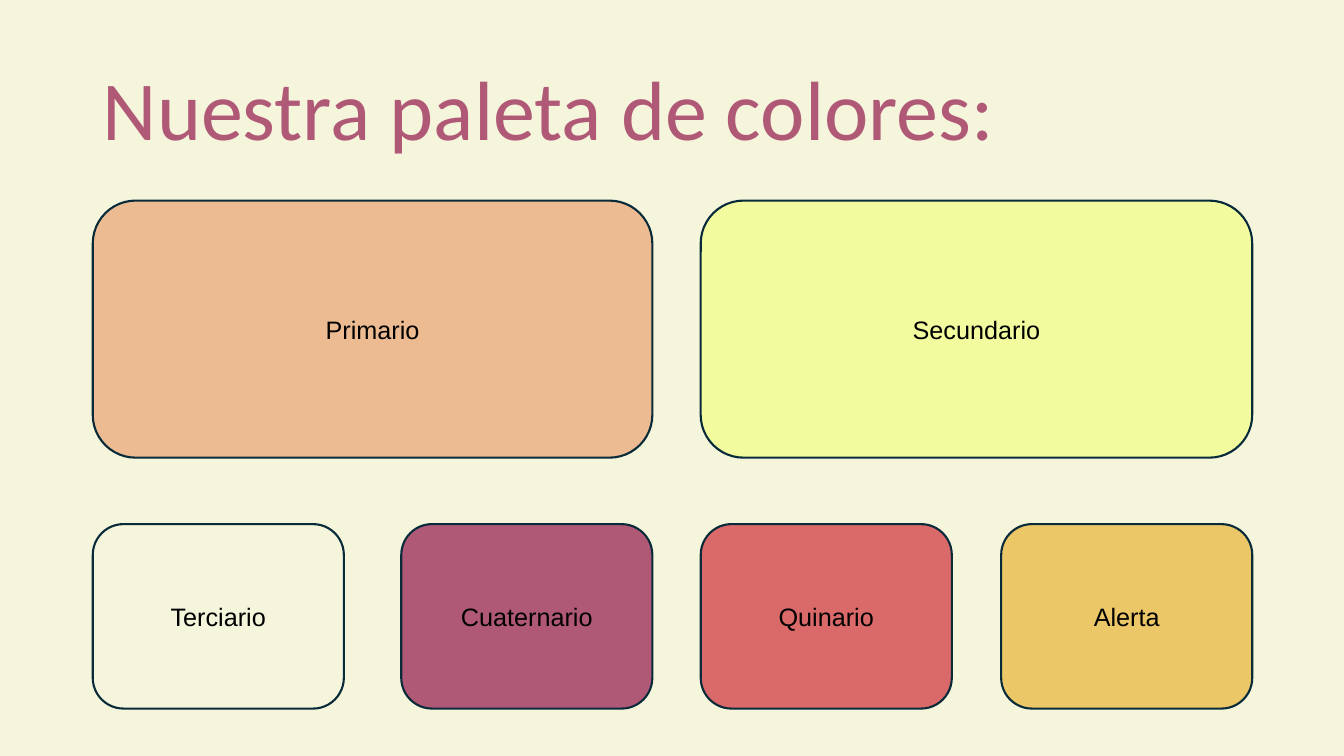
from dataclasses import dataclass

import pptx
import pptx.dml.color
import pptx.enum.shapes
import pptx.enum.text
import pptx.util


@dataclass(frozen=True)
class Theme:
    background: str = "F5F5DC"
    title: str = "B05977"
    outline: str = "092A39"
    label: str = "000000"
    title_font: str = "Calibri"
    label_font: str = "Arial"
    title_size: int = 60
    label_size: int = 18
    outline_width: float = 1.5


THEME = Theme()
WIDTH, HEIGHT = 13.33, 7.5

# Grid: the slide halves start at columns 0 and 2; rows are (top, height)
COLUMNS = (0.92, 3.98, 6.95, 9.93)
SWATCH_WIDTH = 2.49
TITLE_ROW, LARGE_ROW, SMALL_ROW = (0.4, 1.45), (1.99, 2.55), (5.2, 1.83)

# Name, fill, first column, last column, row
SWATCHES = (
    ("Primario", "EDBB91", 0, 1, LARGE_ROW),
    ("Secundario", "F2FC9F", 2, 3, LARGE_ROW),
    ("Terciario", "F5F5DC", 0, 0, SMALL_ROW),
    ("Cuaternario", "B05977", 1, 1, SMALL_ROW),
    ("Quinario", "DA6969", 2, 2, SMALL_ROW),
    ("Alerta", "EBC768", 3, 3, SMALL_ROW),
)


def rgb(value):
    return pptx.dml.color.RGBColor.from_string(value)


def cell(first, last, row):
    """Left, top, width and height of a span of columns in a row."""
    left = COLUMNS[first]
    width = COLUMNS[last] + SWATCH_WIDTH - left
    return [pptx.util.Inches(v) for v in (left, row[0], width, row[1])]


def write(s, text, font, size, color, align):
    tf = s.text_frame
    tf.word_wrap = True
    tf.vertical_anchor = pptx.enum.text.MSO_ANCHOR.MIDDLE
    p = tf.paragraphs[0]
    p.alignment = align
    r = p.add_run()
    r.text = text
    r.font.name = font
    r.font.size = pptx.util.Pt(size)
    r.font.color.rgb = rgb(color)
    return p


def add_title(slide, text):
    s = slide.shapes.title
    s.left, s.top, s.width, s.height = cell(0, 3, TITLE_ROW)
    p = write(s, text, THEME.title_font, THEME.title_size, THEME.title,
              pptx.enum.text.PP_ALIGN.LEFT)
    p.line_spacing = 0.9


def add_swatch(slide, name, fill, first, last, row):
    s = slide.shapes.add_shape(
        pptx.enum.shapes.MSO_SHAPE.ROUNDED_RECTANGLE, *cell(first, last, row))
    s.shadow.inherit = False
    s.fill.solid()
    s.fill.fore_color.rgb = rgb(fill)
    s.line.color.rgb = rgb(THEME.outline)
    s.line.width = pptx.util.Pt(THEME.outline_width)
    write(s, name, THEME.label_font, THEME.label_size, THEME.label,
          pptx.enum.text.PP_ALIGN.CENTER)


def main():
    prs = pptx.Presentation()
    prs.slide_width = pptx.util.Inches(WIDTH)
    prs.slide_height = pptx.util.Inches(HEIGHT)

    # Title-only slide on a plain background
    slide = prs.slides.add_slide(prs.slide_layouts[5])
    slide.background.fill.solid()
    slide.background.fill.fore_color.rgb = rgb(THEME.background)
    add_title(slide, "Nuestra paleta de colores:")

    # Palette swatches
    for swatch in SWATCHES:
        add_swatch(slide, *swatch)

    prs.save("out.pptx")


if __name__ == "__main__":
    main()
